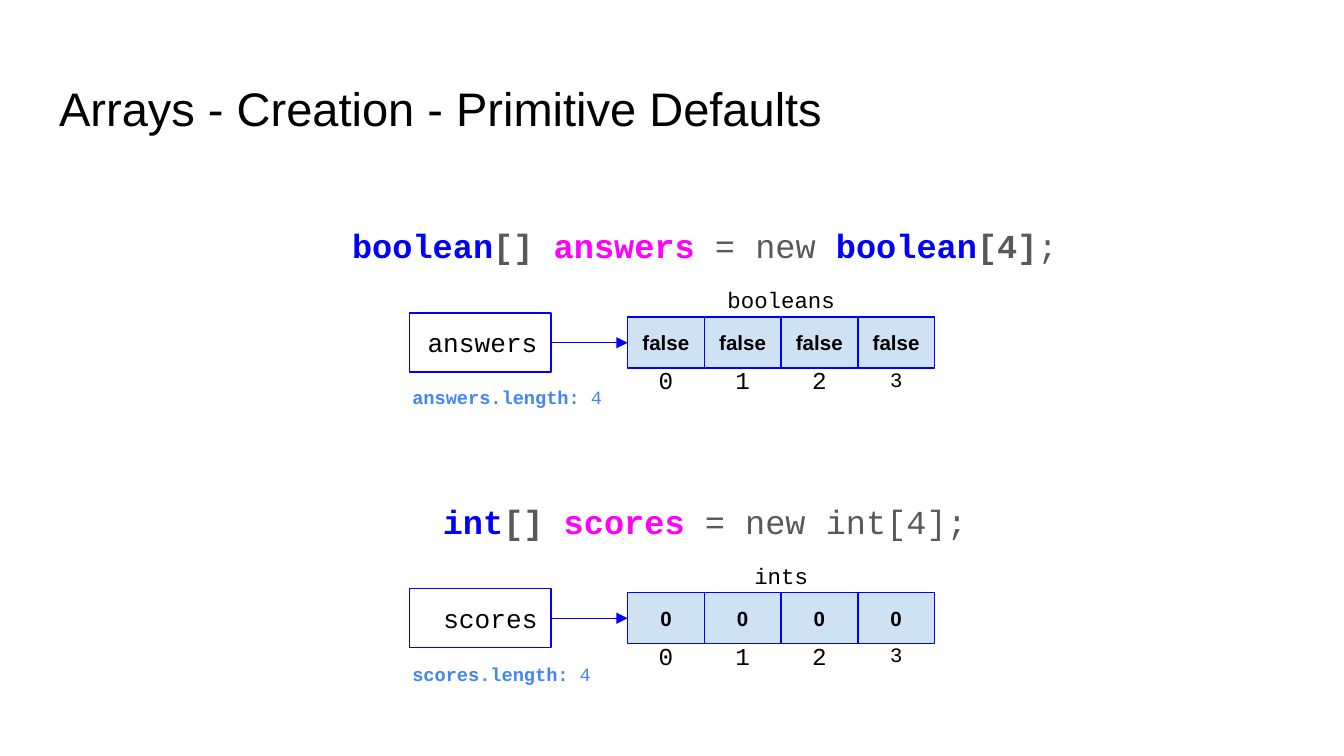
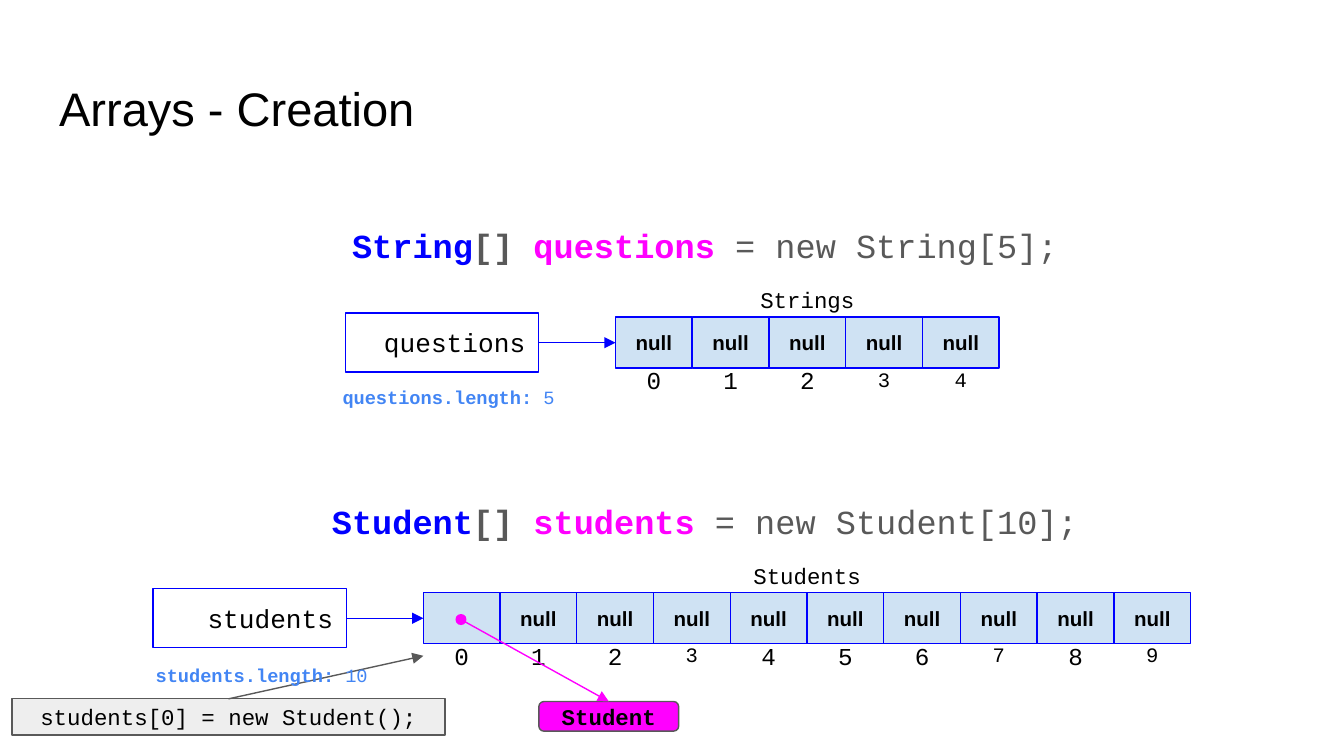
"""Build two slides that show how Java arrays are created and filled with defaults."""
from lxml.etree import SubElement
from pptx import Presentation
from pptx.dml.color import RGBColor
from pptx.enum.shapes import MSO_CONNECTOR, MSO_SHAPE
from pptx.enum.text import MSO_ANCHOR, MSO_AUTO_SIZE, PP_ALIGN
from pptx.oxml.ns import qn
from pptx.util import Inches, Pt

BLUE = RGBColor(0x00, 0x00, 0xFF)
MAGENTA = RGBColor(0xFF, 0x00, 0xFF)
GRAY = RGBColor(0x59, 0x59, 0x59)
BLACK = RGBColor(0x00, 0x00, 0x00)
PALE_BLUE = RGBColor(0xCF, 0xE2, 0xF3)
PALE_GRAY = RGBColor(0xEE, 0xEE, 0xEE)
NOTE_BLUE = RGBColor(0x42, 0x85, 0xF4)
SANS, MONO = "Arial", "Courier New"

CELL = 5.71 / 10
ROW_TOPS = (2.03, 4.08)

SLIDES = [
    {"title": "Arrays - Creation - Primitive Defaults", "arrays": [
        {"type": "boolean", "name": "answers", "values": ["false"] * 4,
         "creation": [(" = new ", GRAY, False), ("boolean", BLUE, True),
                      ("[4]", GRAY, True), (";", GRAY, False)],
         "left": 4.67, "name_width": 1.05, "small": {3},
         "note": (2.97, 2.77, 1.74)},
        {"type": "int", "name": "scores", "values": ["0"] * 4,
         "creation": [(" = new int[4];", GRAY, False)],
         "left": 4.67, "name_width": 1.05, "small": {3},
         "note": (2.97, 4.83, 1.74)},
    ]},
    {"title": "Arrays - Creation", "arrays": [
        {"type": "String", "name": "questions", "values": ["null"] * 5,
         "creation": [(" = new String[5];", GRAY, False)],
         "left": 4.58, "name_width": 1.44, "small": {3, 4},
         "note": (2.45, 2.77, 2.71)},
        {"type": "Student", "name": "students", "values": [""] + ["null"] * 9,
         "creation": [(" = new Student[10];", GRAY, False)],
         "left": 3.15, "name_width": 1.44, "small": {3, 7, 9},
         "note": (1.06, 4.84, 2.71)},
    ]},
]


def add_spans(para, spans, size, font=MONO):
    for text, color, bold in spans:
        span = para.add_run()
        span.text = text
        span.font.name, span.font.size = font, Pt(size)
        span.font.color.rgb, span.font.bold = color, bold


def write(box, spans, size, align, anchor=MSO_ANCHOR.TOP, font=MONO):
    frame = box.text_frame
    frame.word_wrap = True
    frame.auto_size = MSO_AUTO_SIZE.NONE
    frame.vertical_anchor = anchor
    frame.margin_left = frame.margin_right = Inches(0.1)
    frame.margin_top = frame.margin_bottom = Inches(0.1)
    para = frame.paragraphs[0]
    para.alignment = align
    add_spans(para, spans, size, font)
    return para


def add_text(shapes, place, spans, size, align=PP_ALIGN.CENTER, anchor=MSO_ANCHOR.TOP):
    box = shapes.add_textbox(*map(Inches, place))
    return box, write(box, spans, size, align, anchor)


def add_box(shapes, place, fill, line, kind=MSO_SHAPE.RECTANGLE):
    box = shapes.add_shape(kind, *map(Inches, place))
    box.shadow.inherit = False
    if fill is None:
        box.fill.background()
    else:
        box.fill.solid()
        box.fill.fore_color.rgb = fill
    box.line.color.rgb = line
    box.line.width = Pt(0.75)
    return box


def add_arrow(shapes, start, end, color, **ends):
    arrow = shapes.add_connector(MSO_CONNECTOR.STRAIGHT, *map(Inches, start + end))
    arrow.line.color.rgb = color
    arrow.line.width = Pt(0.75)
    properties = arrow.element.spPr
    for name in ("headEnd", "tailEnd"):
        if name in ends:
            SubElement(properties.find(qn("a:ln")), qn("a:" + name), type=ends[name])
    SubElement(properties, qn("a:effectLst"))


def add_title(page, text):
    title = page.shapes.title
    title.left, title.top, title.width, title.height = map(Inches, (0.34, 0.49, 9.32, 0.63))
    write(title, [(text, BLACK, False)], 25.2, PP_ALIGN.LEFT, font=SANS)


def add_declarations(page, arrays):
    lines = [[(array["type"], BLUE, True), ("[] ", GRAY, True),
              (array["name"], MAGENTA, True)] + array["creation"] for array in arrays]
    box, first = add_text(page.shapes, (0.38, 1.53, 9.23, 3.73), lines[0], 18)
    second = box.text_frame.add_paragraph()
    second.alignment = PP_ALIGN.CENTER
    second.space_before = Pt(123)
    add_spans(second, lines[1], 18)
    for para in (first, second):
        para.line_spacing = 1.15
        properties = para._p.get_or_add_pPr()
        properties.set("marL", str(Inches(0.5)))
        properties.set("indent", "0")


def add_array(page, array, top):
    shapes = page.shapes.add_group_shape().shapes
    left, values, width = array["left"], array["values"], array["name_width"]
    name_right = left - CELL
    name_box = add_box(shapes, (name_right - width, top + 0.3, width, 0.44), None, BLUE)
    write(name_box, [(array["name"], BLACK, False)], 14, PP_ALIGN.RIGHT)
    add_arrow(shapes, (name_right, top + 0.52), (left, top + 0.52), BLUE, tailEnd="triangle")
    add_text(shapes, (left, top, CELL * len(values), 0.4),
             [(array["type"] + "s", BLACK, False)], 12)
    for index, value in enumerate(values):
        x = left + index * CELL
        cell = add_box(shapes, (x, top + 0.33, CELL, 0.38), PALE_BLUE, BLUE)
        if value:
            write(cell, [(value, BLACK, True)], 11, PP_ALIGN.CENTER, MSO_ANCHOR.MIDDLE, SANS)
    for index in range(len(values)):
        x = left + index * CELL
        y, height, size = (0.6, 0.39, 11) if index in array["small"] else (0.59, 0.42, 13)
        add_text(shapes, (x, top + y, CELL, height), [(str(index), BLACK, False)], size)


def add_length_note(page, array):
    x, y, width = array["note"]
    spans = [(array["name"] + ".length:", NOTE_BLUE, True),
             (f" {len(array['values'])}", NOTE_BLUE, False)]
    add_text(page.shapes, (x, y, width, 0.37), spans, 10, PP_ALIGN.LEFT, MSO_ANCHOR.MIDDLE)


def add_assignment(page):
    shapes = page.shapes
    statement = add_box(shapes, (0.09, 5.2, 3.22, 0.27), PALE_GRAY, GRAY)
    write(statement, [("students[0] = new Student();", BLACK, False)], 12,
          PP_ALIGN.CENTER, MSO_ANCHOR.MIDDLE)
    add_arrow(shapes, (1.7, 5.2), (3.15, 4.88), GRAY, tailEnd="triangle")
    student = add_box(shapes, (4.01, 5.22, 1.04, 0.22), MAGENTA, GRAY,
                      MSO_SHAPE.ROUNDED_RECTANGLE)
    write(student, [("Student", BLACK, True)], 12, PP_ALIGN.CENTER, MSO_ANCHOR.MIDDLE)
    add_arrow(shapes, (4.53, 5.22), (3.43, 4.61), MAGENTA, headEnd="triangle", tailEnd="oval")


deck = Presentation()
deck.slide_width = Inches(10)
deck.slide_height = deck.slide_width * 9 // 16
for content in SLIDES:
    page = deck.slides.add_slide(deck.slide_layouts[5])
    add_title(page, content["title"])
    add_declarations(page, content["arrays"])
    for array, top in zip(content["arrays"], ROW_TOPS):
        add_array(page, array, top)
    if content is SLIDES[-1]:
        add_assignment(page)
    for array in content["arrays"]:
        add_length_note(page, array)
deck.save("out.pptx")
